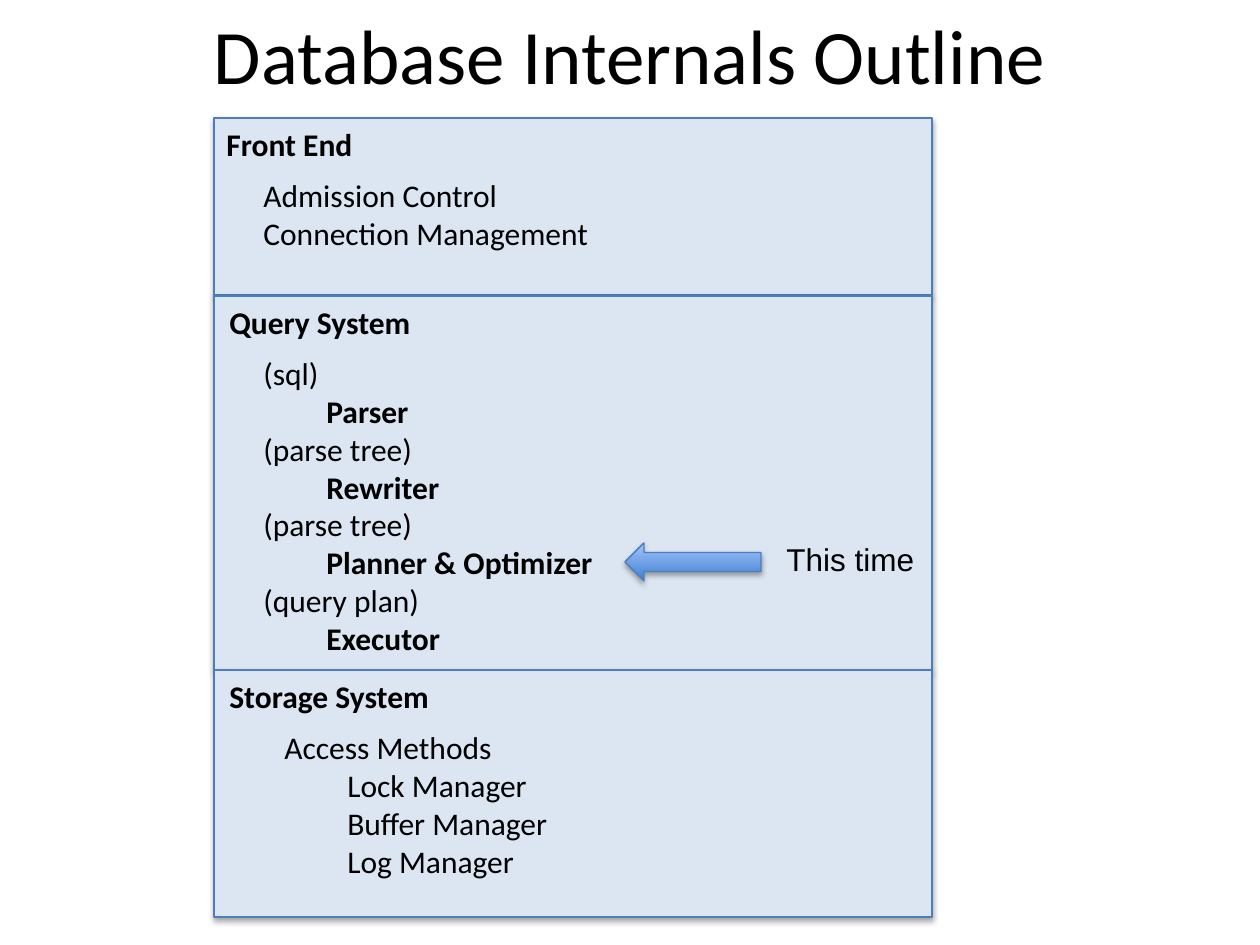
from lxml.etree import SubElement
from pptx import Presentation
from pptx.dml.color import RGBColor
from pptx.enum.shapes import MSO_SHAPE as SHAPE
from pptx.enum.text import MSO_ANCHOR as ANCHOR, PP_ALIGN as ALIGN
from pptx.oxml.ns import qn
from pptx.util import Pt

PX = 914400 / 126
COLORS = {"panel": "DCE6F2", "line": "4B7EBC", "text": "000000",
          "arrow_dark": "3F80CE", "arrow_light": "A4C4FF", "shadow": "000000"}

PANEL_X, PANEL_W = 214, 718
# top, height, heading offset, body offset, heading, body lines as (level, bold, text)
PANELS = [
    (118, 177, 0, 37, "Front End", [
        (0, False, "Admission Control"),
        (0, False, "Connection Management")]),
    (296, 374, 3, 37, "Query System", [
        (0, False, "(sql)"),
        (1, True, "Parser"),
        (0, False, "(parse tree)"),
        (1, True, "Rewriter"),
        (0, False, "(parse tree)"),
        (1, True, "Planner & Optimizer"),
        (0, False, "(query plan)"),
        (1, True, "Executor")]),
    (670, 247, 3, 58, "Storage System", [
        (0, False, "Access Methods"),
        (1, False, "Lock Manager"),
        (1, False, "Buffer Manager"),
        (1, False, "Log Manager")]),
]


def px(n):
    return round(n * PX)


def rgb(name):
    return RGBColor.from_string(COLORS[name])


def add_shadow(sp):
    effects = SubElement(sp._element.spPr, qn("a:effectLst"))
    shadow = SubElement(effects, qn("a:outerShdw"), blurRad="40000", dist="23000",
                        dir="5400000", rotWithShape="0")
    color = SubElement(shadow, qn("a:srgbClr"), val=COLORS["shadow"])
    SubElement(color, qn("a:alpha"), val="35000")


def add_block(slide, kind, x, y, w, h):
    """Add an outlined preset shape with a soft shadow; the caller fills it."""
    sp = slide.shapes.add_shape(kind, px(x), px(y), px(w), px(h))
    sp.line.color.rgb = rgb("line")
    sp.line.width = Pt(0.75)
    add_shadow(sp)
    return sp


def add_text(slide, x, y, w, h, lines, size=18, font="Calibri", align=ALIGN.LEFT,
             anchor=ANCHOR.TOP):
    """Add a text box of (level, bold, text) lines."""
    tf = slide.shapes.add_textbox(px(x), px(y), px(w), px(h)).text_frame
    tf.word_wrap = True
    tf.vertical_anchor = anchor
    for i, (level, bold, text) in enumerate(lines):
        p = tf.paragraphs[0] if i == 0 else tf.add_paragraph()
        p.text = text
        p.alignment = align
        p.font.name, p.font.size, p.font.bold = font, Pt(size), bold
        p.font.color.rgb = rgb("text")
        if level:
            p._p.get_or_add_pPr().set("marL", str(px(63 * level)))


def add_panel(slide, x, y, w, h, heading_dx, body_dx, heading, lines):
    sp = add_block(slide, SHAPE.RECTANGLE, x, y, w, h)
    sp.fill.solid()
    sp.fill.fore_color.rgb = rgb("panel")
    add_text(slide, x + heading_dx, y + 1, 270, 50, [(0, True, heading)])
    add_text(slide, x + body_dx, y + 52, 630, 13 + 38 * len(lines), lines)


def add_marker(slide, x, y, w, h, label):
    """Add a left arrow with its label on the right."""
    arrow_w = 136
    sp = add_block(slide, SHAPE.LEFT_ARROW, x, y, arrow_w, h)
    sp.fill.gradient()
    sp.fill.gradient_angle = 90
    for stop, name in zip(sp.fill.gradient_stops, ("arrow_dark", "arrow_light")):
        stop.color.rgb = rgb(name)
    add_text(slide, x + arrow_w + 13, y - 9, w - arrow_w - 13, 50,
             [(0, False, label)], font="Arial")


def main():
    prs = Presentation()
    prs.slide_width, prs.slide_height = px(1260), px(945)
    slide = prs.slides.add_slide(prs.slide_layouts[6])
    add_text(slide, 63, -25, 1134, 157, [(0, False, "Database Internals Outline")],
             size=44, align=ALIGN.CENTER, anchor=ANCHOR.MIDDLE)
    for y, h, *content in PANELS:
        add_panel(slide, PANEL_X, y, PANEL_W, h, *content)
    add_marker(slide, 625, 543, 354, 38, "This time")
    prs.save("out.pptx")


if __name__ == "__main__":
    main()
